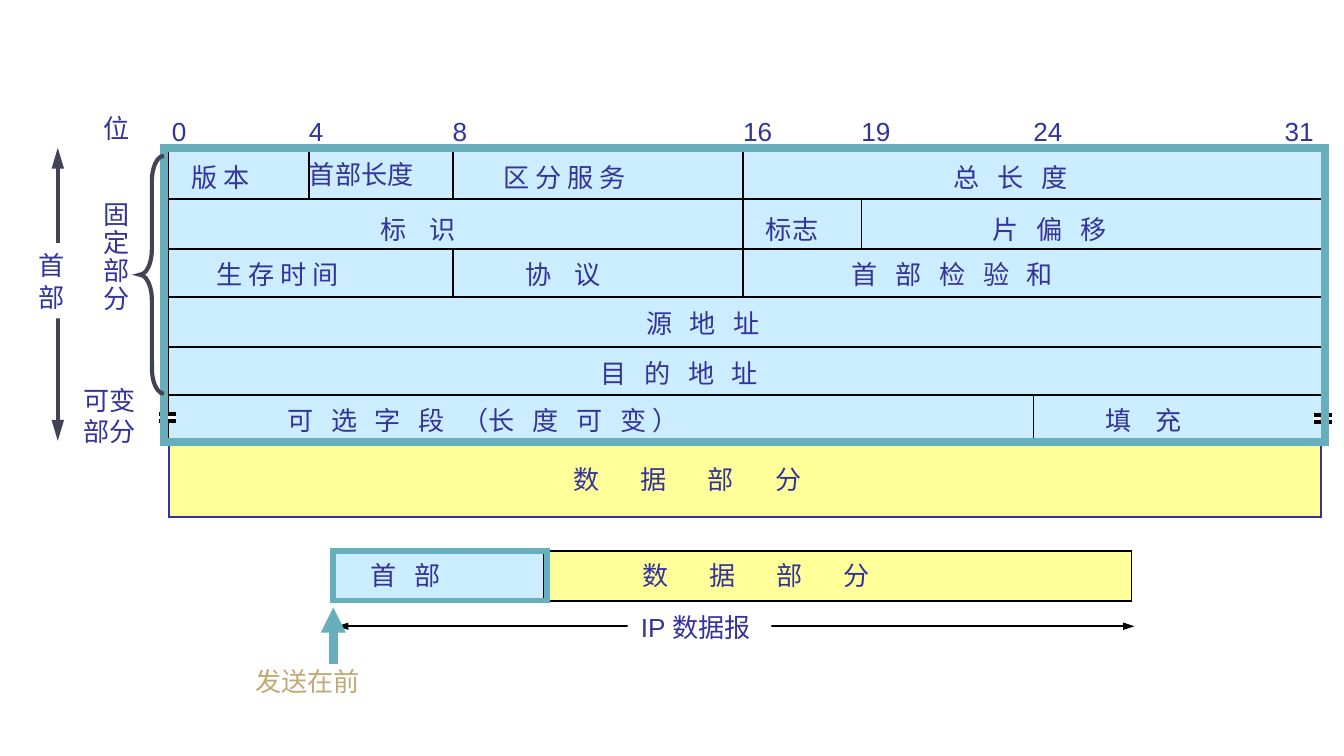
"""Build a slide showing the layout of an IP datagram header."""
from lxml import etree
from pptx import Presentation
from pptx.dml.color import RGBColor
from pptx.enum.shapes import MSO_CONNECTOR, MSO_SHAPE
from pptx.enum.text import MSO_AUTO_SIZE, PP_ALIGN
from pptx.oxml.ns import qn
from pptx.util import Inches, Pt

RECT = MSO_SHAPE.RECTANGLE
BRACE = MSO_SHAPE.LEFT_BRACE
STRAIGHT = MSO_CONNECTOR.STRAIGHT
GROW = MSO_AUTO_SIZE.SHAPE_TO_FIT_TEXT
LEFT = PP_ALIGN.LEFT
COLORS = {
    "black": "000000", "white": "FFFFFF", "text": "333399", "header": "CCECFF",
    "data": "FFFF99", "frame": "67AFBD", "dark": "424456", "note": "C2A874",
}
HALF_SPACE = 1.57

prs = Presentation()
prs.slide_width = Inches(10)
prs.slide_height = Inches(10 * 9 / 16)
s = prs.slides.add_slide(prs.slide_layouts[6])


def add_box(x, y, w, h, fill=None, line=None, width=1, text="", gap=1,
            color="text", font="Arial", spacing=1.0, kind=RECT):
    place = Inches(x), Inches(y), Inches(w), Inches(h)
    if text:
        sp = s.shapes.add_textbox(*place)
    else:
        sp = s.shapes.add_shape(kind, *place)
        sp.shadow.inherit = False
    if fill:
        sp.fill.solid()
        sp.fill.fore_color.rgb = RGBColor.from_string(COLORS[fill])
    else:
        sp.fill.background()
    if line:
        sp.line.color.rgb = RGBColor.from_string(COLORS[line])
        sp.line.width = Pt(width)
        etree.SubElement(sp.element.spPr.get_or_add_ln(), qn("a:miter"), lim="800000")
    else:
        sp.line.fill.background()
    if text:
        tf = sp.text_frame
        tf.word_wrap = False
        tf.auto_size = GROW
        for i, words in enumerate(text.split("\n")):
            p = tf.add_paragraph() if i else tf.paragraphs[0]
            p.alignment = LEFT
            p.line_spacing = spacing
            p.font.size = Pt(14)
            p.font.name = font
            p.font.color.rgb = RGBColor.from_string(COLORS[color])
            for part in filter(None, words.partition("（")):
                r = p.add_run()
                r.text = part
                if gap > 1 and part != "（":
                    r._r.get_or_add_rPr().set("spc", str(round((gap - 1) * HALF_SPACE * 100)))
    return sp


def add_line(x1, y1, x2, y2, color="black", width=1, ends=(), head=("med", "med")):
    c = s.shapes.add_connector(STRAIGHT, Inches(x1), Inches(y1), Inches(x2), Inches(y2))
    c.line.color.rgb = RGBColor.from_string(COLORS[color])
    c.line.width = Pt(width)
    for end in ends:
        etree.SubElement(c._element.spPr.get_or_add_ln(), qn(f"a:{end}"),
                         type="triangle", w=head[0], len=head[1])
    etree.SubElement(c._element.spPr, qn("a:effectLst"))


both_ends = ("headEnd", "tailEnd")
add_box(0.67, 1.45, 0.39, 0.94, text="固\n定\n部\n分", spacing=0.9)
add_box(0.52, 2.81, 0.59, 0.56, text="可变\n部分")
add_line(2.51, 4.66, 8.44, 4.66, ends=both_ends, head=("sm", "med"))
add_box(2.48, 4.1, 1.57, 0.37, "header", "black")
add_box(1.24, 1.12, 8.6, 2.17, "header", "black", 2)
add_box(1.26, 3.29, 8.57, 0.56, "data", "text")

rows = [round(1.12 + 0.364 * i, 2) for i in range(6)] + [3.3]
for y in rows[1:-1]:
    add_line(1.24, y, 9.85, y)

bits = {0: 1.28, 4: 2.3, 8: 3.37, 16: 5.53, 19: 6.41, 24: 7.69, 31: 9.56}
dividers = [(4, 0, 1), (8, 0, 1), (8, 2, 3), (16, 0, 3), (24, 5, 6), (19, 1, 2)]
for bit, first, last in dividers:
    add_line(bits[bit], rows[first], bits[bit], rows[last])
for bit, x in bits.items():
    add_box(x - 0.1, 0.81, 0.31 if bit < 10 else 0.42, 0.33, text=str(bit))

fields = [
    (1.15, [(1.33, 0.69, "版 本", 1), (3.65, 1.27, "区 分 服 务", 1),
            (7, 1.37, "总 长 度", 3)]),
    (1.54, [(5.6, 0.59, "标志", 1), (2.73, 0.98, "标 识", 4),
            (7.29, 1.37, "片 偏 移", 3)]),
    (1.87, [(1.51, 1.27, "生 存 时 间", 1), (3.81, 0.98, "协 议", 4),
            (6.24, 2.34, "首 部 检 验 和", 3)]),
    (2.24, [(4.71, 1.37, "源 地 址", 3)]),
    (2.61, [(4.37, 1.86, "目 的 地 址", 3)]),
    (2.96, [(8.13, 0.98, "填 充", 4),
            (2.04, 4.1, "可 选 字 段 （长 度 可 变）", 3)]),
    (0.79, [(0.67, 0.39, "位", 1)]),
    (1.13, [(2.2, 0.98, "首部长度", 1)]),
]
for y, labels in fields:
    for x, w, text, gap in labels:
        add_box(x, y, w, 0.33, text=text, gap=gap)

for x, y in [(1.17, 3.07), (9.77, 3.08)]:
    add_box(x, y, 0.14, 0.06, "white")
    for dy in (0.01, 0.06):
        add_line(x + 0.01, y + dy, x + 0.14, y + dy, width=2)

add_box(4.17, 3.4, 3.18, 0.33, text="数 据 部 分", gap=7)
add_box(4.06, 4.1, 4.36, 0.37, "data", "black")
add_box(4.68, 4.11, 3.39, 0.33, text="数 据 部 分", gap=7)
add_box(2.66, 4.11, 0.88, 0.33, text="首 部", gap=3)
add_box(4.67, 4.5, 1.07, 0.33, "white", text="IP 数据报")

add_line(0.43, 1.1, 0.43, 3.28, "dark", 2.25, both_ends, ("med", "lg"))
add_box(0.19, 1.81, 0.39, 0.56, "white", text="首\n部")
add_box(1.22, 1.1, 8.64, 2.19, line="frame", width=4.5)
add_box(2.48, 4.1, 1.59, 0.37, line="frame", width=3)
brace = add_box(1.04, 1.16, 0.18, 1.77, line="dark", width=2.25, kind=BRACE)
brace.adjustments[0] = 1.05
add_line(2.48, 4.94, 2.48, 4.52, "frame", 4.5, ("tailEnd",))
add_box(1.8, 4.9, 0.98, 0.33, text="发送在前", color="note", font="Times New Roman")

prs.save("out.pptx")
